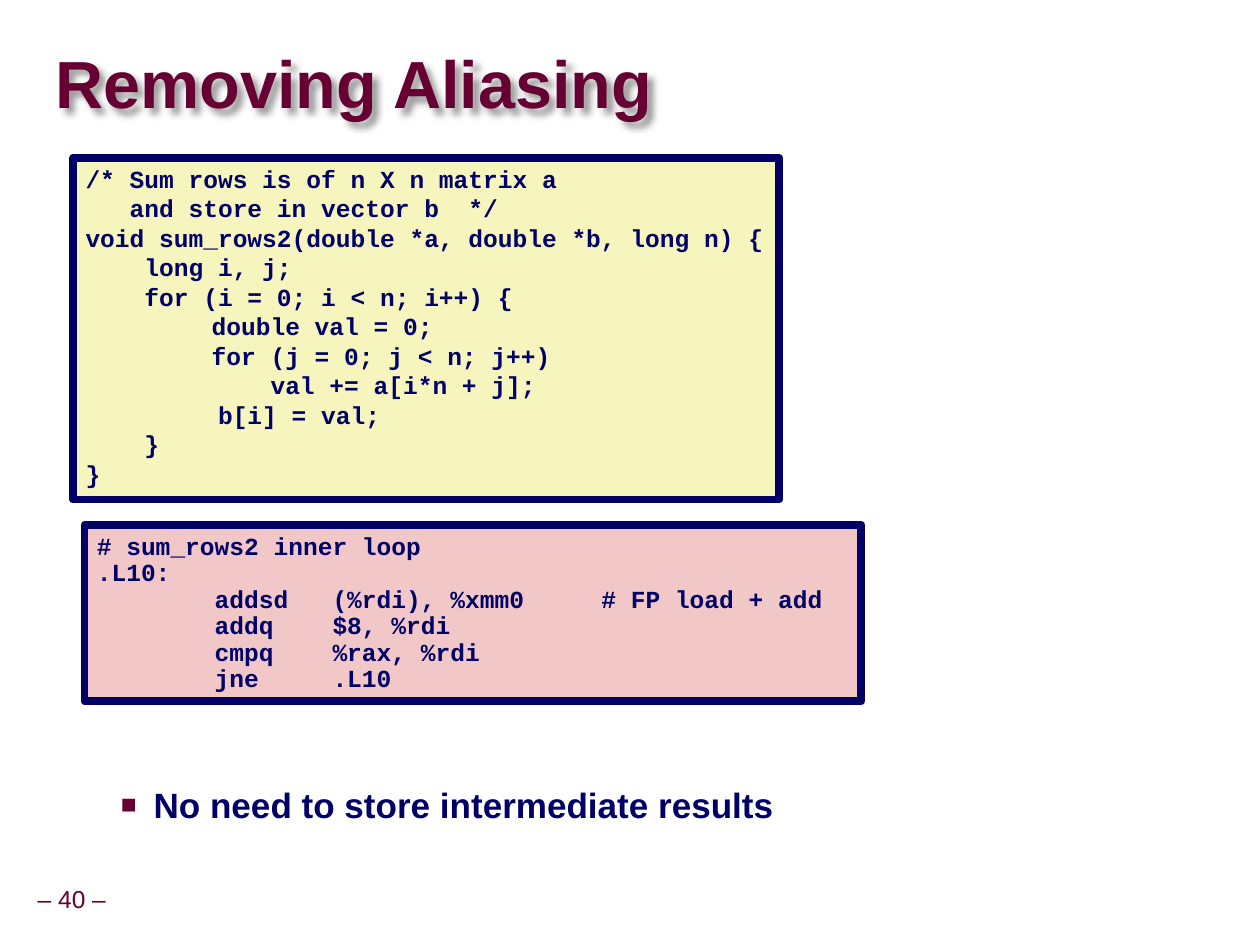
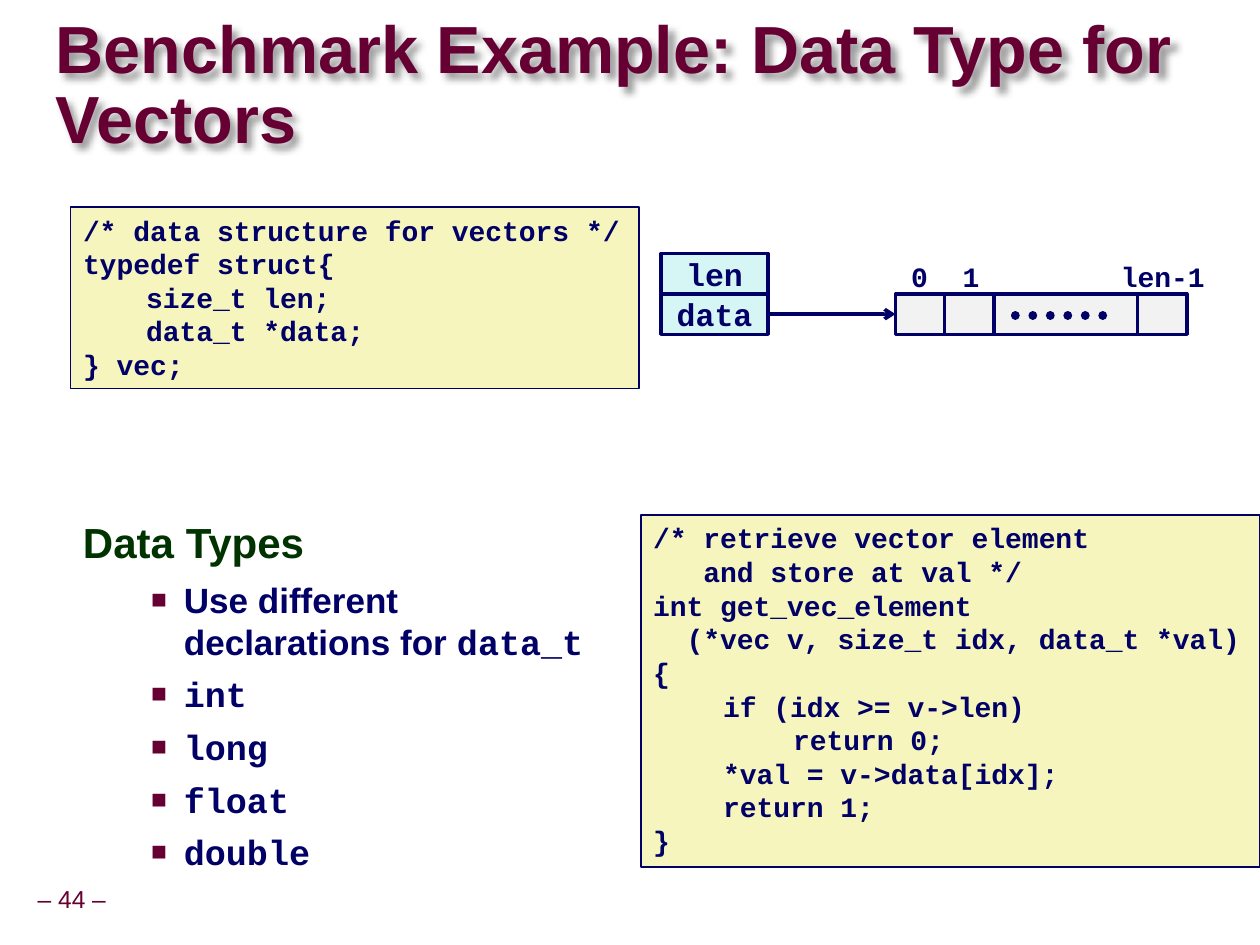
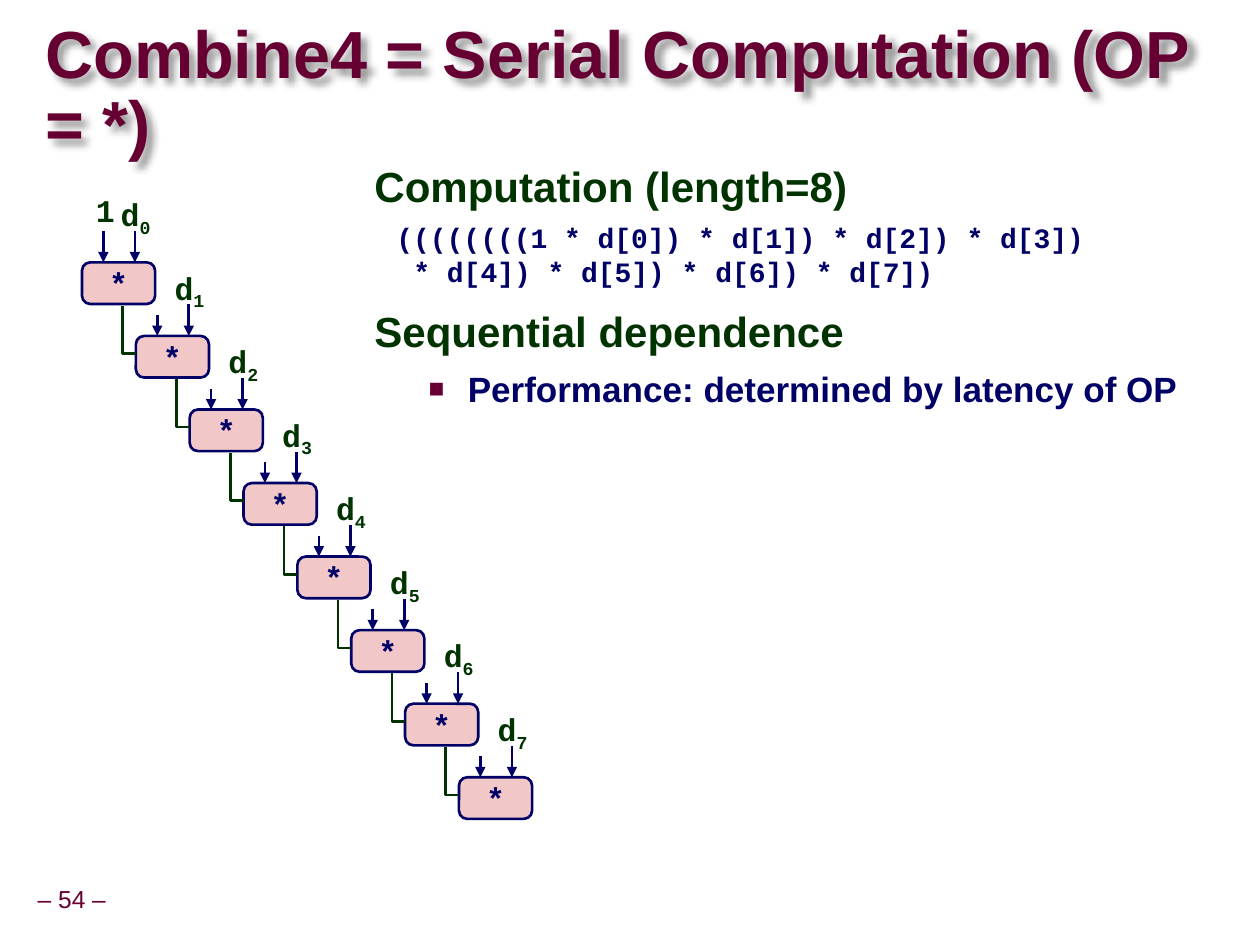
import copy

import lxml.etree
import pptx
import pptx.dml.color
import pptx.enum.dml
import pptx.enum.shapes
import pptx.enum.text
import pptx.oxml.ns
import pptx.util

MAROON = pptx.dml.color.RGBColor(0x66, 0x00, 0x33)
NAVY = pptx.dml.color.RGBColor(0x00, 0x00, 0x66)
GREEN = pptx.dml.color.RGBColor(0x00, 0x33, 0x00)
PINK = pptx.dml.color.RGBColor(0xF1, 0xC7, 0xC7)
CREAM = pptx.dml.color.RGBColor(0xF6, 0xF5, 0xBD)
AQUA = pptx.dml.color.RGBColor(0xD6, 0xF5, 0xF5)
GREY = pptx.dml.color.RGBColor(0xF2, 0xF2, 0xF2)

SANS = "Arial"
MONO = "Courier New"
CELL = pptx.util.Inches(0.1)
SLIDE_COLS, SLIDE_ROWS = 99.9, 74.9
PAD = (1, 0.5)
TIGHT = (0.5, 0.5)

SHAPE = pptx.enum.shapes.MSO_SHAPE
ALIGN = pptx.enum.text.PP_ALIGN
ANCHOR = pptx.enum.text.MSO_ANCHOR

ROW_SUM = """/* Sum rows is of n X n matrix a
   and store in vector b  */
void sum_rows2(double *a, double *b, long n) {
    long i, j;
    for (i = 0; i < n; i++) {
\tdouble val = 0;
\tfor (j = 0; j < n; j++)
\t    val += a[i*n + j];
         b[i] = val;
    }
}"""

INNER_LOOP = """# sum_rows2 inner loop
.L10:
        addsd   (%rdi), %xmm0\t# FP load + add
        addq    $8, %rdi
        cmpq    %rax, %rdi
        jne     .L10"""

VECTOR_STRUCT = """/* data structure for vectors */
typedef struct{
\tsize_t len;
\tdata_t *data;
} vec;"""

GET_ELEMENT = """/* retrieve vector element
   and store at val */
int get_vec_element
  (*vec v, size_t idx, data_t *val)
{
\tif (idx >= v->len)
\t\treturn 0;
\t*val = v->data[idx];
\treturn 1;
}"""

PRODUCT = """((((((((1 * d[0]) * d[1]) * d[2]) * d[3])
* d[4]) * d[5]) * d[6]) * d[7])"""


def cells(count):
    return round(count * CELL)


def box(*counts):
    return [cells(count) for count in counts]


def add_xml(parent, tag, **attributes):
    return lxml.etree.SubElement(parent, pptx.oxml.ns.qn(tag), attributes)


def set_frame(frame, pad=PAD, anchor=ANCHOR.TOP):
    frame.word_wrap = True
    frame.auto_size = pptx.enum.text.MSO_AUTO_SIZE.NONE
    frame.margin_left = frame.margin_right = cells(pad[0])
    frame.margin_top = frame.margin_bottom = cells(pad[1])
    frame.vertical_anchor = anchor


def style_runs(runs, size, colour, font=SANS, bold=True):
    for run in runs:
        run.font.size = pptx.util.Pt(size)
        run.font.name = font
        run.font.bold = bold
        run.font.color.rgb = colour


def set_text(frame, text, size, colour, font=MONO, bold=True, align=ALIGN.LEFT, spacing=1.0):
    frame.text = text
    for paragraph in frame.paragraphs:
        paragraph.alignment = align
        paragraph.line_spacing = spacing
        style_runs(paragraph.runs, size, colour, font, bold)


def add_label(slide, place, text, size, colour, font=MONO, bold=True, pad=PAD,
              anchor=ANCHOR.TOP, spacing=1.0):
    label = slide.shapes.add_textbox(*box(*place))
    set_frame(label.text_frame, pad, anchor)
    set_text(label.text_frame, text, size, colour, font, bold, ALIGN.CENTER, spacing)
    return label


def add_box(slide, place, fill, weight, kind=SHAPE.RECTANGLE):
    panel = slide.shapes.add_shape(kind, *box(*place))
    panel.shadow.inherit = False
    panel.fill.solid()
    panel.fill.fore_color.rgb = fill
    panel.line.color.rgb = NAVY
    panel.line.width = pptx.util.Pt(weight)
    return panel


def add_node(slide, place, fill, weight, text, kind=SHAPE.RECTANGLE):
    node = add_box(slide, place, fill, weight, kind)
    set_frame(node.text_frame, anchor=ANCHOR.MIDDLE)
    set_text(node.text_frame, text, 18, NAVY, align=ALIGN.CENTER)
    return node


def add_code(slide, place, code, size, fill, weight, spacing=1.0, tab=10):
    frame = add_box(slide, place, fill, weight).text_frame
    set_frame(frame)
    set_text(frame, code, size, NAVY, spacing=spacing)
    frame.paragraphs[0].line_spacing = 1.0
    for paragraph in frame.paragraphs:
        stops = add_xml(paragraph._p.get_or_add_pPr(), "a:tabLst")
        for stop in range(1, 5):
            add_xml(stops, "a:tab", pos=str(cells(tab * stop)), algn="l")


def add_line(slide, start, end, weight, head=None):
    line = slide.shapes.add_connector(
        pptx.enum.shapes.MSO_CONNECTOR.STRAIGHT, *box(*start, *end))
    line.line.color.rgb = NAVY
    line.line.width = pptx.util.Pt(weight)
    if head:
        add_xml(line.line._get_or_add_ln(), "a:tailEnd", type=head)
    add_xml(line._element.spPr, "a:effectLst")
    return line


def add_elbow(slide, corner_col, top, bottom, end_col):
    outline = slide.shapes.build_freeform(*box(corner_col, top))
    outline.add_line_segments(
        [box(corner_col, bottom), box(end_col, bottom)], close=False)
    elbow = outline.convert_to_shape()
    elbow.shadow.inherit = False
    elbow.fill.background()
    elbow.line.color.rgb = GREEN
    elbow.line.width = pptx.util.Pt(1.5)


def add_body(slide, place):
    frame = slide.shapes.add_textbox(*box(*place)).text_frame
    set_frame(frame)
    return frame


def next_paragraph(frame, before, margin=0, indent=0):
    paragraph = frame.add_paragraph() if frame.text else frame.paragraphs[0]
    paragraph.space_before = pptx.util.Pt(before)
    properties = paragraph._p.get_or_add_pPr()
    properties.set("marL", str(cells(margin)))
    properties.set("indent", str(cells(indent)))
    return paragraph


def add_heading(frame, text):
    heading = next_paragraph(frame, 12)
    heading.text = text
    heading.line_spacing = 0.95
    style_runs(heading.runs, 24, GREEN)


def add_formula(frame, text):
    formula = next_paragraph(frame, 5, 3.1, -1.35)
    formula.text = text
    style_runs(formula.runs, 16, NAVY, MONO)
    for line_break in formula._p.findall(pptx.oxml.ns.qn("a:br")):
        line_break.append(copy.deepcopy(formula.runs[0].font._element))


def add_bullet(frame, words="", code="", margin=8, indent=-2.6):
    bullet = next_paragraph(frame, 6, margin, indent)
    for text, font in ((words, SANS), (code, MONO)):
        if text:
            run = bullet.add_run()
            run.text = text
            style_runs([run], 20, NAVY, font)
    properties = bullet._p.get_or_add_pPr()
    add_xml(add_xml(properties, "a:buClr"), "a:srgbClr", val=str(MAROON))
    add_xml(properties, "a:buSzPct", val="75000")
    add_xml(properties, "a:buFont", typeface=SANS)
    add_xml(properties, "a:buChar", char="■")


def add_title_shadow(title):
    effects = add_xml(title._element.spPr, "a:effectLst")
    shadow = add_xml(effects, "a:outerShdw", blurRad="50800", dist="50800",
                     dir="2700000", algn="tl", rotWithShape="0")
    add_xml(add_xml(shadow, "a:srgbClr", val="000000"), "a:alpha", val="40000")


def new_slide(deck, heading, number, place=(4.4, 2.7, 95.2, 8.5)):
    slide = deck.slides.add_slide(deck.slide_layouts.get_by_name("Title Only"))
    title = slide.shapes.title
    title.left, title.top, title.width, title.height = box(*place)
    set_frame(title.text_frame, (0, 0), ANCHOR.MIDDLE)
    set_text(title.text_frame, heading, 38, MAROON, SANS, spacing=0.87)
    add_title_shadow(title)
    add_label(slide, (2.3, 69.8, 6.8, 3.2), f"– {number} –", 14, MAROON, SANS,
              bold=False, pad=TIGHT, anchor=ANCHOR.MIDDLE, spacing=0.9)
    return slide


def add_stage_label(slide, col, row, width, text, subscript=""):
    label = add_label(slide, (col, row, width, 3.8), text, 18, GREEN,
                      pad=TIGHT, spacing=0.9)
    if subscript:
        run = label.text_frame.paragraphs[0].add_run()
        run.text = subscript
        style_runs([run], 18, GREEN, MONO)
        run.font._element.set("baseline", "-25000")


def add_stage(slide, index):
    col, row = 6.5 + 4.27 * index, 20.8 + 5.83 * index
    operator = add_node(slide, (col, row, 5.8, 3.3), PINK, 1.5, "*",
                        SHAPE.ROUNDED_RECTANGLE)
    operator.adjustments[0] = 0.2
    carry_rise = 1.65 if index else 2.5
    for offset, rise in ((1.7, carry_rise), (4.2, 2.5)):
        add_line(slide, (col + offset, row - rise), (col + offset, row), 1.5, "triangle")
    add_stage_label(slide, col + 2.5, row - 5.8, 3.5, "d", str(index))
    if index:
        add_elbow(slide, col - 1.05, row - 2.4, row + 1.4, col)
    else:
        add_stage_label(slide, col + 0.6, row - 5.8, 2.5, "1")


def build_aliasing(deck):
    slide = new_slide(deck, "Removing Aliasing", 40)
    add_bullet(add_body(slide, (3.2, 61.6, 90.7, 8.8)),
               "No need to store intermediate results")
    add_code(slide, (6.7, 41.6, 61.6, 14), INNER_LOOP, 14, PINK, 4.5, spacing=0.9)
    add_code(slide, (5.8, 12.5, 56, 27.1), ROW_SUM, 14, CREAM, 4.5)


def add_vector_diagram(slide):
    array_col, array_row, height = 71, 23.3, 3.2
    for name, row in (("len", array_row - height), ("data", array_row)):
        add_node(slide, (52.4, row, 8.5, height), AQUA, 2, name)
    col = array_col
    for width in (3.9, 3.9, 11.4, 3.9):
        add_box(slide, (col, array_row, width, height), GREY, 2)
        col += width
    middle = array_row + height / 2
    add_line(slide, (60.9, middle), (array_col, middle), 2, "arrow")
    for text, label_col, width in (("0", 71.2, 3.4), ("1", 75.3, 3.4), ("len-1", 87.8, 8.8)):
        add_label(slide, (label_col, 20.1, width, 3.7), text, 16, NAVY)
    ellipsis = add_line(slide, (80.5, 25), (88.5, 25), 5)
    ellipsis.line.dash_style = pptx.enum.dml.MSO_LINE.ROUND_DOT
    ellipsis.line._get_or_add_ln().set("cap", "rnd")


def build_vectors(deck):
    slide = new_slide(deck, "Benchmark Example: Data Type for Vectors", 44)
    body = add_body(slide, (5.6, 40.7, 42.3, 24.2))
    add_heading(body, "Data Types")
    add_bullet(body, "Use different declarations for ", "data_t")
    for data_type in ("int", "long", "float", "double"):
        add_bullet(body, code=data_type)
    add_code(slide, (5.6, 16.4, 45.1, 14.4), VECTOR_STRUCT, 16, CREAM, 1, tab=5)
    add_code(slide, (50.8, 40.8, 49.1, 27.9), GET_ELEMENT, 16, CREAM, 1, tab=5.55)
    add_vector_diagram(slide)


def build_serial(deck):
    slide = new_slide(deck, "Combine4 = Serial Computation (OP = *)", 54,
                      (3.6, 3.1, 94.6, 8.5))
    body = add_body(slide, (28.7, 12.5, 69.5, 18.3))
    add_heading(body, "Computation (length=8)")
    add_formula(body, PRODUCT)
    add_heading(body, "Sequential dependence")
    add_bullet(body, "Performance: determined by latency of OP", margin=7.4, indent=-3.1)
    for index in range(8):
        add_stage(slide, index)


def main():
    deck = pptx.Presentation()
    deck.slide_width, deck.slide_height = box(SLIDE_COLS, SLIDE_ROWS)
    build_aliasing(deck)
    build_vectors(deck)
    build_serial(deck)
    deck.save("out.pptx")


if __name__ == "__main__":
    main()
